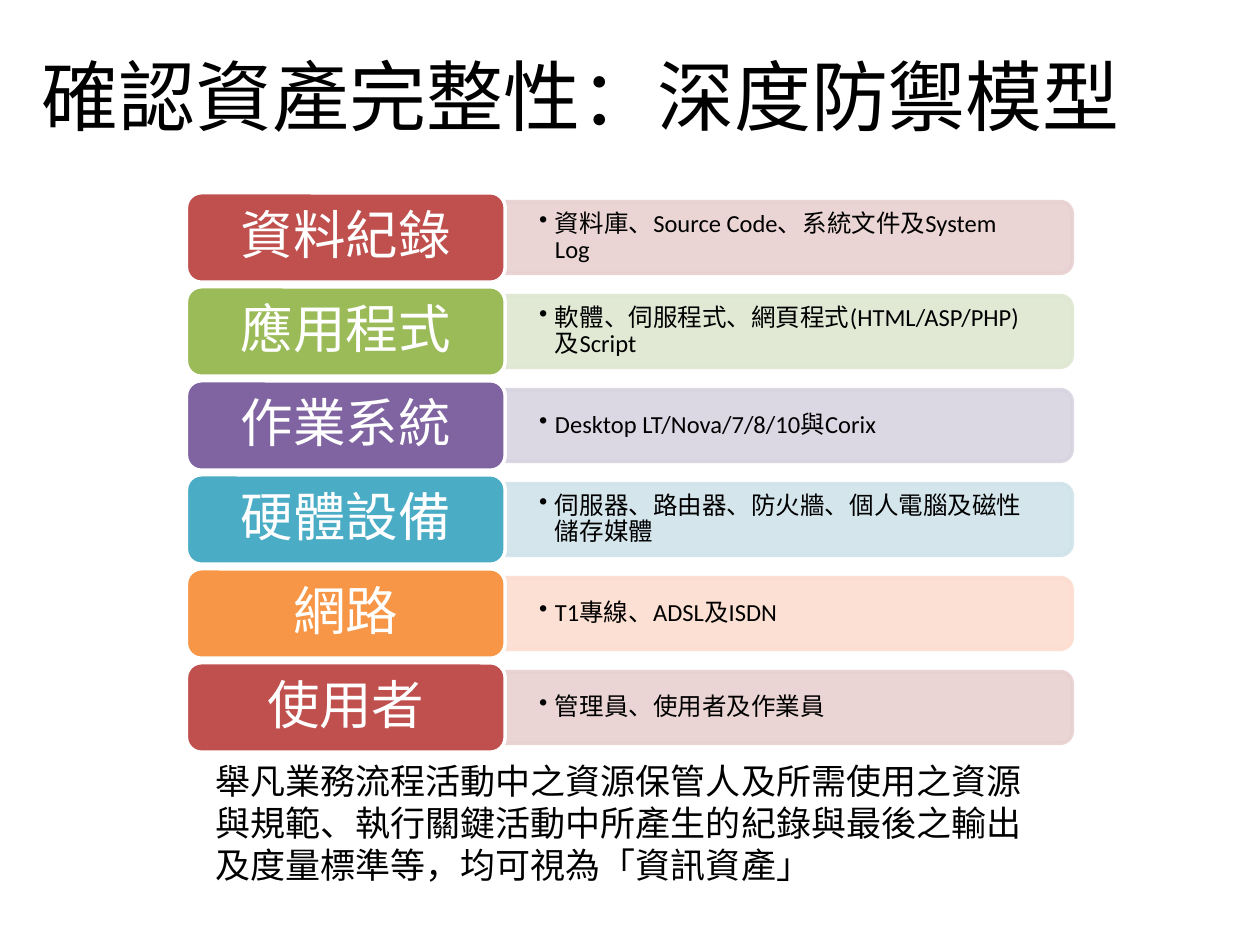
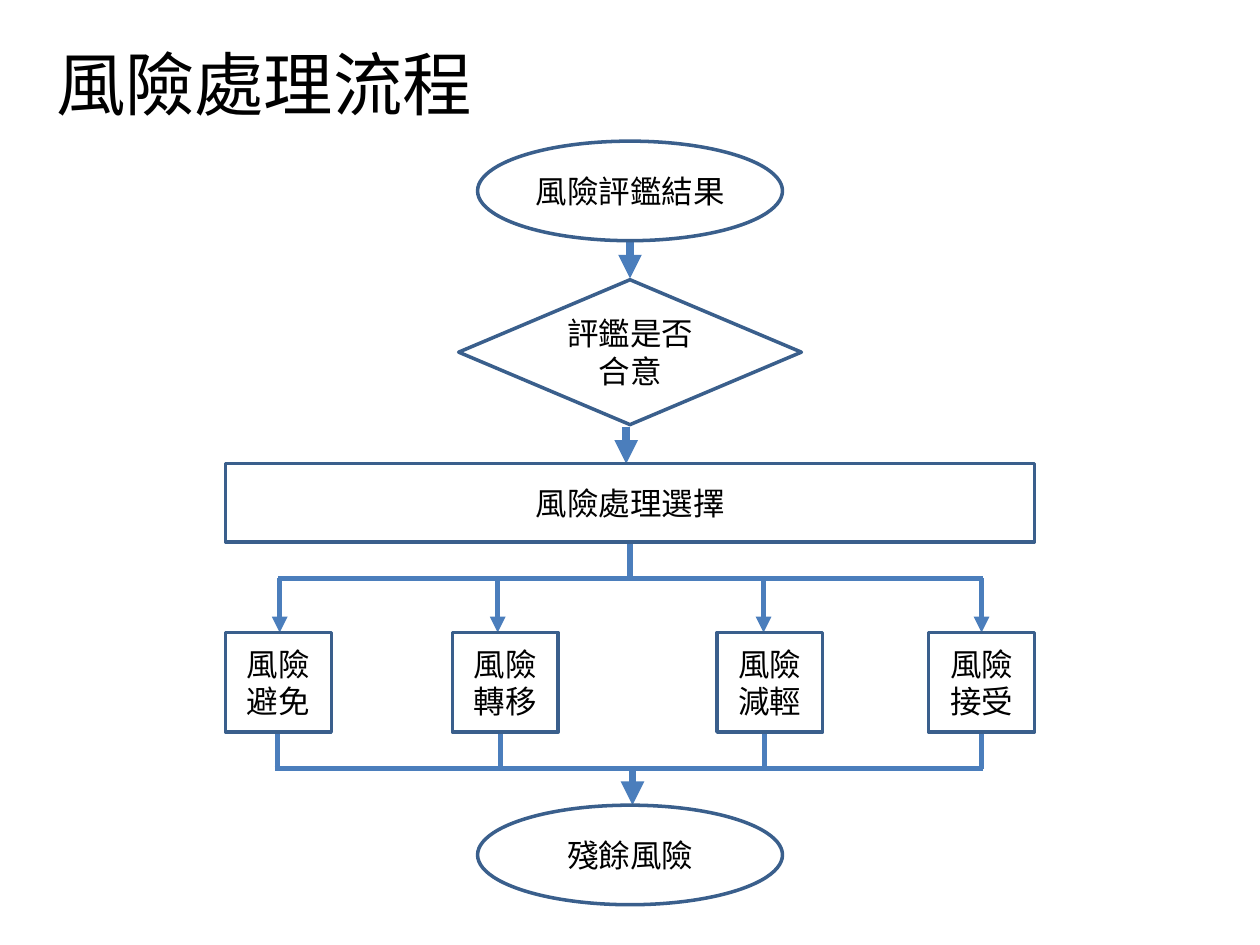
from pptx import Presentation
from pptx.util import Emu, Pt
from pptx.dml.color import RGBColor as RGB
from pptx.enum.shapes import MSO_SHAPE as Kind, MSO_CONNECTOR as Conn
from pptx.enum.text import PP_ALIGN as Align, MSO_ANCHOR as Anchor, MSO_AUTO_SIZE as Auto
from pptx.oxml.ns import qn
from lxml.etree import SubElement as Sub

deck = Presentation()
deck.slide_width, deck.slide_height = Emu(9144000), Emu(6858000)
unit = deck.slide_width // 100
black, white, edge, wire = "000000", "FFFFFF", "3A5F8C", "4B7EBC"


def put(item, box, text="", size=18, ink=black, fill=None, line=None, align=Align.CENTER, pad=(1, 0.5)):
    item.left, item.top, item.width, item.height = (Emu(round(n * unit)) for n in box)
    if line:
        item.shadow.inherit = False
        item.fill.background()
        if fill:
            item.fill.solid()
            item.fill.fore_color.rgb = RGB.from_string(fill)
        item.line.color.rgb = RGB.from_string(line)
        item.line.width = Pt(2)
    if text:
        frame = item.text_frame
        frame.word_wrap, frame.auto_size = True, Auto.NONE
        frame.vertical_anchor = Anchor.MIDDLE
        frame.margin_left = frame.margin_right = Emu(round(pad[0] * unit))
        frame.margin_top = frame.margin_bottom = Emu(round(pad[1] * unit))
        para = frame.paragraphs[0]
        para.alignment = align
        run = para.add_run()
        run.text = text
        run.font.size, run.font.name = Pt(size), "Calibri"
        run.font.color.rgb = RGB.from_string(ink)
    return item


def link(page, x1, y1, x2, y2, width=3, head=False):
    ends = [Emu(round(n * unit)) for n in (x1, y1, x2, y2)]
    item = page.shapes.add_connector(Conn.STRAIGHT, *ends)
    item.line.color.rgb = RGB.from_string(wire)
    item.line.width = Pt(width)
    if head:
        Sub(item.line._ln, qn("a:tailEnd"), type="triangle")
    Sub(item._element.spPr, qn("a:effectLst"))


pages = []
for title, box, size in [
    ("確認資產完整性：深度防禦模型", (2, 1.3, 88.2, 12.5), 44),
    ("風險處理流程", (2.8, 2, 36.3, 9.2), 39.6),
]:
    page = deck.slides.add_slide(deck.slide_layouts[5])
    put(page.shapes.title, box, title, size)
    pages.append(page)
model, flow = pages

layers = [
    ("資料紀錄", "資料庫、Source Code、系統文件及System Log", "C0504D", "E8D0D0"),
    ("應用程式", "軟體、伺服程式、網頁程式(HTML/ASP/PHP) 及Script", "9BBB59", "DEE7D1"),
    ("作業系統", "Desktop LT/Nova/7/8/10與Corix", "8064A2", "D8D3E0"),
    ("硬體設備", "伺服器、路由器、防火牆、個人電腦及磁性儲存媒體", "4BACC6", "D0E3EA"),
    ("網路", "T1專線、ADSL及ISDN", "F79646", "FCDDCF"),
    ("使用者", "管理員、使用者及作業員", "C0504D", "E8D0D0"),
]
left, top, wide, tall, step = 14.8, 15.3, 25.3, 7.1, 7.46
long, thick = 45, 5.7
for row, (name, note, dark, pale) in enumerate(layers):
    y = top + row * step
    mid = y + tall / 2
    bar = model.shapes.add_shape(Kind.ROUND_2_SAME_RECTANGLE, 0, 0, unit, unit)
    put(bar, (left + wide + (long - thick) / 2, mid - long / 2, thick, long), fill=pale, line=pale)
    bar.rotation = 90
    for tint in bar._element.spPr.iter(qn("a:srgbClr")):
        Sub(tint, qn("a:alpha"), val="90000")

    body = model.shapes.add_textbox(0, 0, unit, unit)
    put(body, (left + wide, mid - 2.55, 44.7, 5.1), note, 14, align=Align.LEFT, pad=(2.7, 1.4))
    para = body.text_frame.paragraphs[0]
    para.line_spacing = 0.9
    props = para._p.get_or_add_pPr()
    props.set("marL", str(round(1.25 * unit)))
    props.set("indent", str(round(-1.25 * unit)))
    Sub(props, qn("a:buChar"), char="•")

    tab = model.shapes.add_shape(Kind.ROUNDED_RECTANGLE, 0, 0, unit, unit)
    put(tab, (left, y, wide, tall), name, 30, white, dark, white)
    tab.text_frame.paragraphs[0].line_spacing = 0.9

foot = model.shapes.add_textbox(0, 0, unit, unit)
put(foot, (16.1, 59.7, 67.7, 11.1), "舉凡業務流程活動中之資源保管人及所需使用之資源與規範、執行關鍵活動中所產生的紀錄與最後之輸出及度量標準等，均可視為「資訊資產」", 20, align=Align.LEFT)

steps = [
    (Kind.OVAL, (37.9, 11.2, 24.2, 7.9), "風險評鑑結果"),
    (Kind.FLOWCHART_DECISION, (36.4, 22.2, 27.2, 11.5), "評鑑是否合意"),
    (Kind.RECTANGLE, (17.9, 36.8, 64.2, 6.2), "風險處理選擇"),
    (Kind.OVAL, (37.9, 63.9, 24.2, 7.9), "殘餘風險"),
]
picks = [
    ("風險避免", 17.9, 22.2, 22),
    ("風險轉移", 35.9, 39.5, 39.7),
    ("風險減輕", 56.9, 60.6, 60.7),
    ("風險接受", 73.7, 77.9, 77.9),
]
fork, row, base, join = 45.9, 50.2, 58.1, 61

for x, y in [(50, 19.2), (49.7, 33.9), (50.2, join)]:
    link(flow, x, y, x, y + 2.9, 4.5, True)
link(flow, 50, 43, 50, fork)
link(flow, 22.1, fork, 78, fork)
link(flow, 21.8, join, 78, join)
for name, x, drop, rise in picks:
    link(flow, drop, fork, drop, row, head=True)
    link(flow, rise, base, rise, join)
    steps.append((Kind.RECTANGLE, (x, row, 8.4, base - row), name))
for kind, box, text in steps:
    put(flow.shapes.add_shape(kind, 0, 0, unit, unit), box, text, line=edge)

deck.save("out.pptx")
